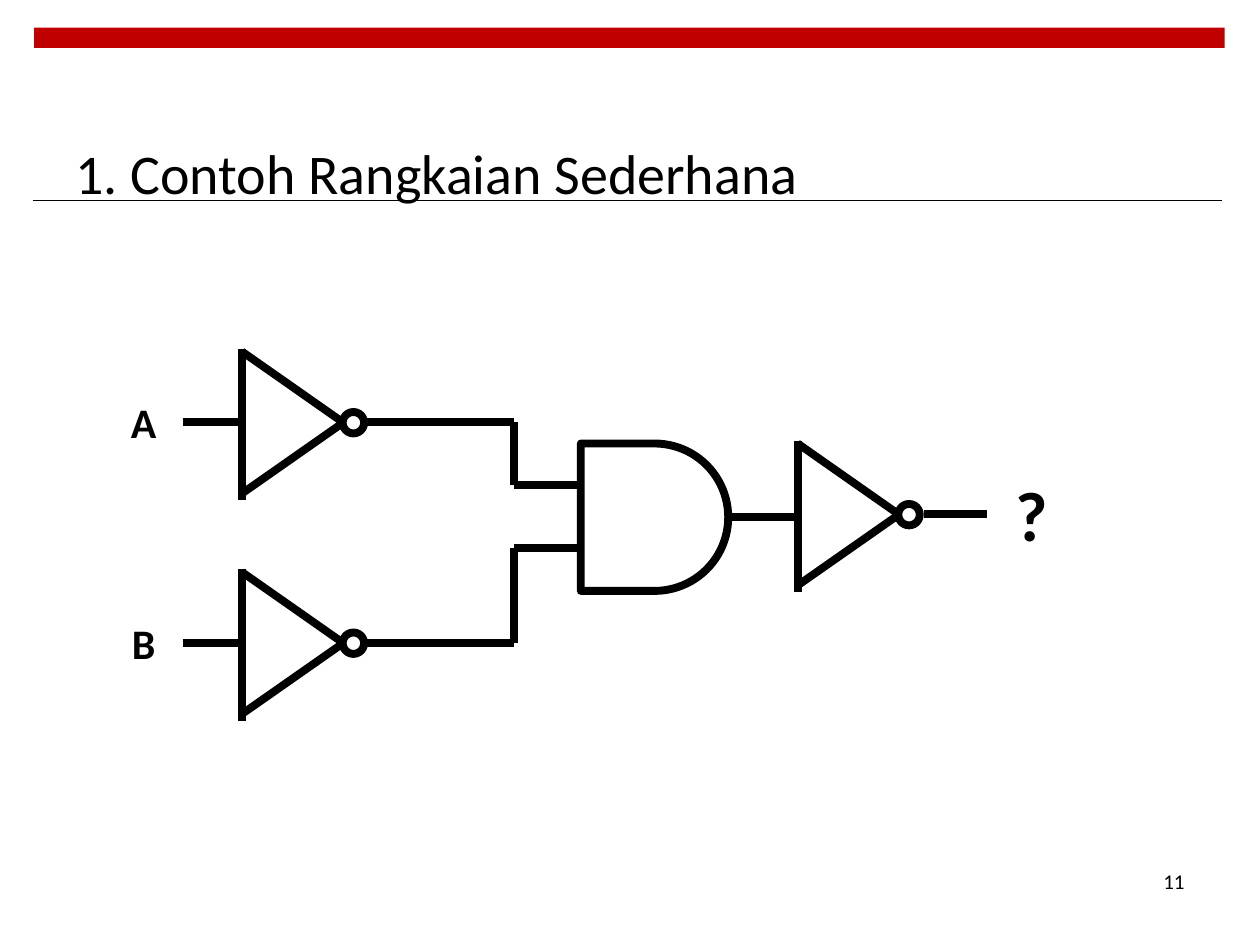
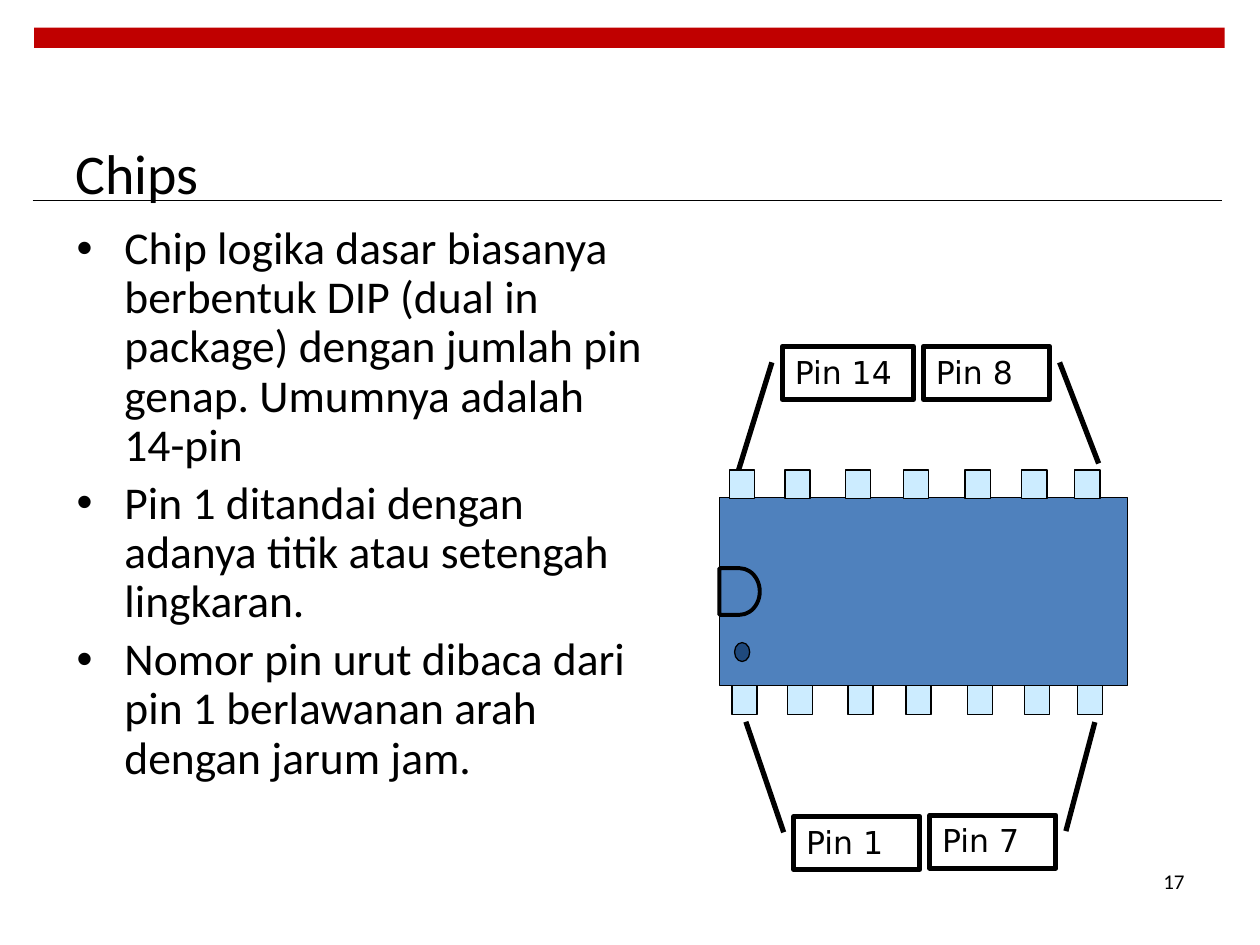
from lxml import etree
from pptx import Presentation
from pptx.dml.color import RGBColor
from pptx.enum.shapes import MSO_CONNECTOR as LINK, MSO_SHAPE as SHAPE
from pptx.enum.text import MSO_ANCHOR as ANCHOR, PP_ALIGN as ALIGN
from pptx.oxml.ns import qn
from pptx.util import Inches, Pt

COLORS = {"ink": "000000", "band": "C00000", "paper": "FFFFFF",
          "chip": "4F81BD", "pin": "CCECFF", "dot": "1F497D"}
WIDTH, HEIGHT = Inches(10), Inches(7.5)
COL, ROW = WIDTH / 100, HEIGHT / 75  # grid of 100 columns and 75 rows
FONT, LABEL = "Calibri", "DejaVu Sans"
WIRE = 4.5
PINS = [57.9, 62.3, 67.1, 71.7, 76.6, 81.1, 85.3]


def grid(*cells):
    """Turn alternating columns and rows into lengths."""
    return [round(n * (ROW if i % 2 else COL)) for i, n in enumerate(cells)]


def color(name):
    return RGBColor.from_string(COLORS[name])


def style(para, size, font=FONT, bold=False):
    para.font.name, para.font.size, para.font.bold = font, Pt(size), bold
    para.font.color.rgb = color("ink")


def write(tree, box, text, size, align=ALIGN.LEFT, anchor=ANCHOR.TOP,
          bold=False, wrap=True):
    frame = tree.add_textbox(*grid(*box)).text_frame
    frame.word_wrap, frame.vertical_anchor = wrap, anchor
    para = frame.paragraphs[0]
    para.text, para.alignment = text, align
    style(para, size, bold=bold)


def draw(tree, kind, box, fill=None, line=None):
    shape = tree.add_shape(kind, *grid(*box))
    shape.shadow.inherit = False
    if fill:
        shape.fill.solid()
        shape.fill.fore_color.rgb = color(fill)
    else:
        shape.fill.background()
    if line:
        shape.line.color.rgb = color("ink")
        shape.line.width = Pt(line)
    else:
        shape.line.fill.background()
    return shape


def wire(tree, *points, width=WIRE):
    """Join the points with straight lines."""
    for start, end in zip(points, points[1:]):
        link = tree.add_connector(LINK.STRAIGHT, *grid(*start, *end))
        link.line.color.rgb = color("ink")
        link.line.width = Pt(width)
        etree.SubElement(link._element.spPr, qn("a:effectLst"))


def invert(tree, x, y):
    """NOT gate whose back edge is at x and whose axis is at y."""
    gate = tree.add_group_shape().shapes
    wire(gate, (x, y + 6.2), (x, y - 5.8))
    wire(gate, (x, y - 5.6), (x + 8, y))
    wire(gate, (x + 0.1, y + 5.6), (x + 8.1, y))
    draw(gate, SHAPE.OVAL, (x + 8, y - 0.8, 1.7, 1.7), line=WIRE)


def start(deck, title, number):
    """Add a slide with the band, rule, title and page number."""
    tree = deck.slides.add_slide(deck.slide_layouts[6]).shapes
    draw(tree, SHAPE.RECTANGLE, (2.7, 2.2, 94.5, 1.6), "band")
    wire(tree, (2.6, 15.9), (97, 15.9), width=0.6)
    write(tree, (71.7, 67.4, 23.3, 5), number, 12, ALIGN.RIGHT, ANCHOR.MIDDLE)
    write(tree, (5, 7.4, 90, 12.5), title, 32, anchor=ANCHOR.MIDDLE)
    return tree


def listing(tree, box, items, size):
    frame = tree.add_textbox(*grid(*box)).text_frame
    frame.word_wrap = True
    for i, item in enumerate(items):
        para = frame.add_paragraph() if i else frame.paragraphs[0]
        para.text = item
        props = para._p.get_or_add_pPr()
        props.set("marL", str(Inches(0.38)))
        props.set("indent", str(-Inches(0.38)))
        etree.SubElement(props, qn("a:buFont"), typeface="Arial")
        etree.SubElement(props, qn("a:buChar"), char="•")
        para.line_spacing = 0.9
        para.space_before = Pt(size * 0.2 if i else 0)
        style(para, size)


def callout(tree, text, box, tail):
    """Framed label; tail holds the y, x of both line ends as box shares."""
    shape = draw(tree, SHAPE.LINE_CALLOUT_1, box, "paper", 3)
    for i, share in enumerate(tail):
        shape.adjustments[i] = share
    frame = shape.text_frame
    frame.vertical_anchor = ANCHOR.TOP
    para = frame.paragraphs[0]
    para.text, para.alignment = text, ALIGN.LEFT
    style(para, 18, LABEL)


def circuit(deck):
    tree = start(deck, "1. Contoh Rangkaian Sederhana", "11")
    for name, y, port in (("A", 33.5, 38.5), ("B", 51, 43.5)):
        invert(tree, 19.2, y)
        write(tree, (9.2, y - 2.5, 4.4, 5), name, 24, ALIGN.CENTER,
              bold=True, wrap=False)
        wire(tree, (14.5, y), (19.5, y))
        wire(tree, (29, y), (40.8, y), (40.8, port), (46.1, port))
    draw(tree, SHAPE.FLOWCHART_DELAY, (46.1, 35.2, 11.7, 11.7), line=WIRE)
    wire(tree, (58.1, 41), (63.1, 41))
    invert(tree, 63.3, 40.8)
    wire(tree, (73.3, 40.8), (78.3, 40.8))
    write(tree, (79.2, 36.9, 5.4, 7.7), "?", 40, ALIGN.CENTER,
          bold=True, wrap=False)


def chips(deck):
    tree = start(deck, "Chips", "17")
    listing(tree, (5.1, 17.4, 47.7, 49.5), [
        "Chip logika dasar biasanya berbentuk DIP (dual in package) dengan "
        "jumlah pin genap. Umumnya adalah 14-pin",
        "Pin 1 ditandai dengan adanya titik atau setengah lingkaran.",
        "Nomor pin urut dibaca dari pin 1 berlawanan arah dengan jarum jam.",
    ], 26)
    for text, x, y, w, tail in (
            ("Pin 1", 63, 64.8, 10, (0.3, -0.08, -1.79, -0.38)),
            ("Pin 7", 73.8, 64.7, 10, (0.3, 1.08, -1.76, 1.31)),
            ("Pin 14", 62.1, 27.5, 10.4, (0.3, -0.08, 2.38, -0.34)),
            ("Pin 8", 73.3, 27.5, 10, (0.3, 1.08, 2.21, 1.39))):
        callout(tree, text, (x, y, w, 4.2), tail)
    draw(tree, SHAPE.RECTANGLE, (57.1, 39.5, 32.4, 14.9), "chip", 0.75)
    for shift, y in ((0, 37.3), (0.2, 54.4)):
        for x in PINS:
            draw(tree, SHAPE.RECTANGLE, (x + shift, y, 2, 2.3), "pin", 0.75)
    draw(tree, SHAPE.OVAL, (58.3, 51, 1.2, 1.5), "dot", 0.75)
    draw(tree, SHAPE.FLOWCHART_DELAY, (57.1, 45.1, 3.2, 3.7), "chip", 2.25)


def main():
    deck = Presentation()
    deck.slide_width, deck.slide_height = WIDTH, HEIGHT
    circuit(deck)
    chips(deck)
    deck.save("out.pptx")


if __name__ == "__main__":
    main()
